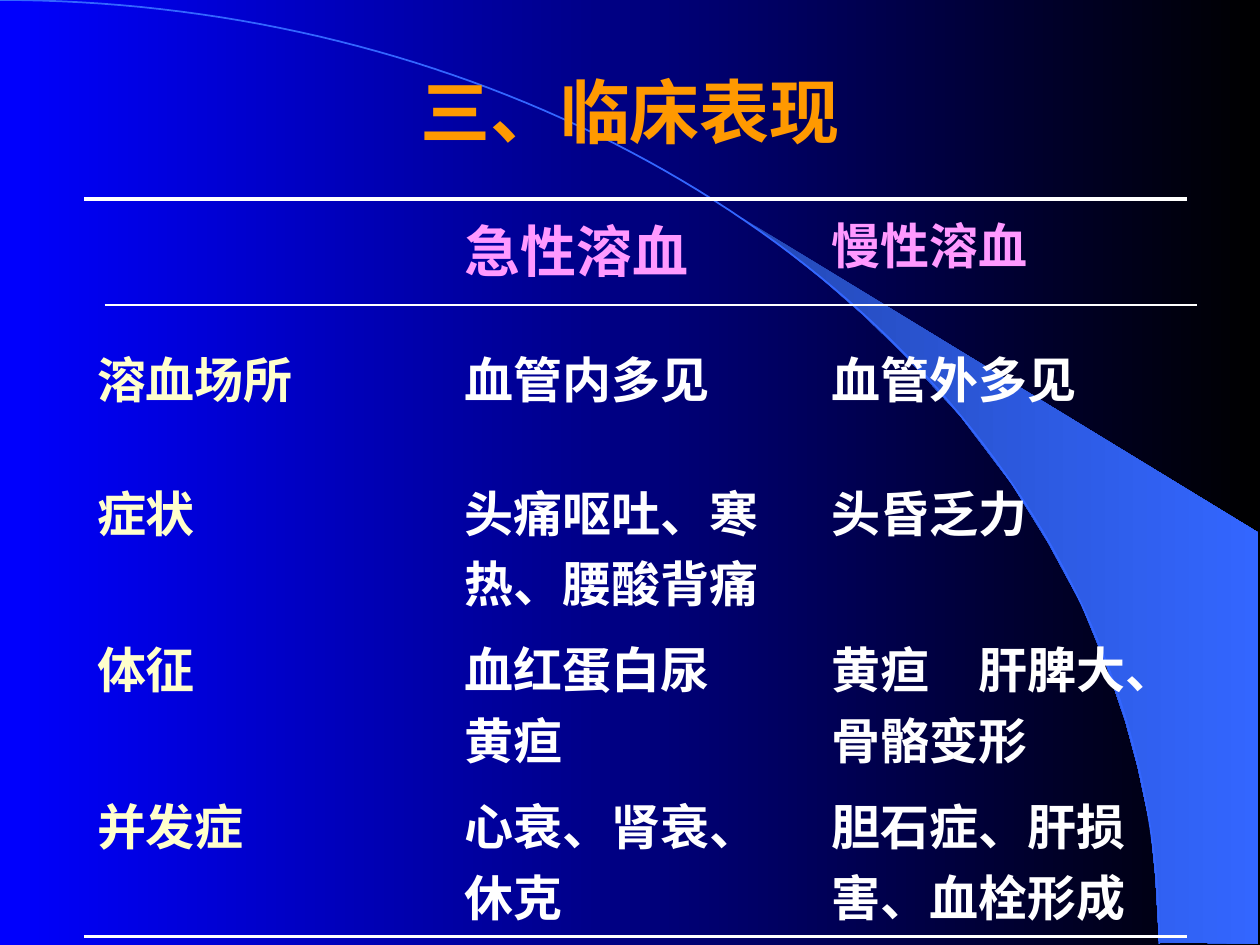
import math

import lxml.etree
import pptx
import pptx.dml.color
import pptx.enum.shapes
import pptx.enum.text
import pptx.oxml
import pptx.oxml.ns
import pptx.util

Inches = pptx.util.Inches
Pt = pptx.util.Pt
RGBColor = pptx.dml.color.RGBColor
qn = pptx.oxml.ns.qn

BLUE = RGBColor(0x00, 0x00, 0xFF)
BLACK = RGBColor(0x00, 0x00, 0x00)
DEEP_BLUE = RGBColor(0x24, 0x49, 0xB6)
BRIGHT_BLUE = RGBColor(0x33, 0x66, 0xFF)
ORANGE = RGBColor(0xFF, 0x99, 0x00)
PINK = RGBColor(0xFF, 0x99, 0xFF)
CREAM = RGBColor(0xFF, 0xFF, 0xCC)
WHITE = RGBColor(0xFF, 0xFF, 0xFF)

PLAIN_TABLE_STYLE = "{2D5ABB26-0587-4C30-8999-92F81FD0307C}"
ARC_WIDTH, ARC_HEIGHT, ARC_STEPS = 9.2, 7.49, 90

WEDGE = [
    (9.2, 7.48), (9.99, 7.49), (9.99, 4.23), (5.89, 1.73), (6.24, 1.99),
    (6.53, 2.22), (6.85, 2.5), (7.16, 2.8), (7.62, 3.3), (8.03, 3.84),
    (8.32, 4.31), (8.58, 4.79), (8.78, 5.28), (8.93, 5.72), (9.03, 6.09),
    (9.13, 6.56), (9.17, 6.96),
]

ROWS = [
    ["", "急性溶血", "慢性溶血"],
    ["溶血场所", "血管内多见", "血管外多见"],
    ["症状", "头痛呕吐、寒热、腰酸背痛", "头昏乏力"],
    ["体征", "血红蛋白尿　黄疸", "黄疸　肝脾大、骨骼变形"],
    ["并发症", "心衰、肾衰、休克", "胆石症、肝损害、血栓形成"],
]


class SlideBuilder:
    title_font = {"name": "Arial", "size": Pt(40), "bold": True}
    cell_font = {"name": "Times New Roman", "size": Pt(28), "bold": True}
    cell_margins = {"margin_left": Inches(0.1), "margin_right": Inches(0.1),
                    "margin_top": Inches(0.07), "margin_bottom": Inches(0.05)}

    def __init__(self, slide):
        self.slide = slide

    def apply(self, target, formats):
        for name, value in formats.items():
            setattr(target, name, value)

    def gradient(self, fill, start, end):
        fill.gradient()
        fill.gradient_angle = 0
        for stop, color in zip(fill.gradient_stops, (start, end)):
            stop.color.rgb = color

    def outline(self, points, close):
        corners = [(Inches(x), Inches(y)) for x, y in points]
        builder = self.slide.shapes.build_freeform(*corners[0])
        builder.add_line_segments(corners[1:], close=close)
        shape = builder.convert_to_shape()
        shape.shadow.inherit = False
        return shape

    def wedge(self, points):
        shape = self.outline(points, True)
        self.gradient(shape.fill, DEEP_BLUE, BRIGHT_BLUE)
        shape.line.fill.background()

    def arc(self):
        angles = [math.pi / 2 * step / ARC_STEPS for step in range(ARC_STEPS + 1)]
        points = [(ARC_WIDTH * math.sin(angle), ARC_HEIGHT * (1 - math.cos(angle)))
                  for angle in angles]
        shape = self.outline(points, False)
        shape.fill.background()
        shape.line.color.rgb = BRIGHT_BLUE
        shape.line.width = Pt(1)

    def title(self, text):
        shape = self.slide.shapes.title
        self.apply(shape, {"left": Inches(0.75), "top": Inches(0.25),
                           "width": Inches(8.5), "height": Inches(1.25)})
        shape.text_frame.text = text
        shape.text_frame.vertical_anchor = pptx.enum.text.MSO_ANCHOR.MIDDLE
        paragraph = shape.text_frame.paragraphs[0]
        paragraph.alignment = pptx.enum.text.PP_ALIGN.CENTER
        self.apply(paragraph.font, self.title_font)
        paragraph.font.color.rgb = ORANGE
        shape.element.getparent().append(shape.element)

    def border(self, cell, side):
        properties = cell._tc.get_or_add_tcPr()
        line = pptx.oxml.parse_xml(
            f'<a:{side} xmlns:a="{pptx.oxml.ns.nsdecls("a").split(chr(34))[1]}" '
            f'w="{Pt(2.25)}"><a:solidFill><a:srgbClr val="{WHITE}"/></a:solidFill></a:{side}>')
        properties.insert(0, line)

    def cell(self, cell, text, color, size):
        cell.fill.background()
        self.apply(cell, self.cell_margins)
        cell.text = text
        font = cell.text_frame.paragraphs[0].font
        self.apply(font, {**self.cell_font, "size": size})
        font.color.rgb = color

    def table(self, rows):
        frame = self.slide.shapes.add_table(
            len(rows), len(rows[0]), Inches(0.67), Inches(1.58), Inches(8.75), Inches(5.31))
        frame.element.xpath(".//a:tableStyleId")[0].text = PLAIN_TABLE_STYLE
        table = frame.table
        self.apply(table, {"first_row": False, "horz_banding": False})
        for row_index, row in enumerate(rows):
            for column_index, text in enumerate(row):
                cell = table.cell(row_index, column_index)
                heading = row_index == 0
                color = PINK if heading else CREAM if column_index == 0 else WHITE
                size = Pt(32) if heading and column_index == 1 else Pt(28)
                self.cell(cell, text, color, size)
                if heading:
                    self.border(cell, "lnT")
                if row_index == len(rows) - 1:
                    self.border(cell, "lnB")

    def rule(self, left, right, top):
        connector = self.slide.shapes.add_connector(
            pptx.enum.shapes.MSO_CONNECTOR.STRAIGHT,
            Inches(left), Inches(top), Inches(right), Inches(top))
        connector.line.color.rgb = WHITE
        connector.line.width = Pt(0.75)
        lxml.etree.SubElement(connector.element.spPr, qn("a:effectLst"))


def main():
    presentation = pptx.Presentation()
    presentation.slide_width = Inches(10)
    presentation.slide_height = Inches(7.5)
    slide = presentation.slides.add_slide(presentation.slide_layouts[5])
    builder = SlideBuilder(slide)
    builder.gradient(slide.background.fill, BLUE, BLACK)
    builder.wedge(WEDGE)
    builder.arc()
    builder.title("三、临床表现")
    builder.table(ROWS)
    builder.rule(0.83, 9.5, 2.42)
    presentation.save("out.pptx")


if __name__ == "__main__":
    main()
